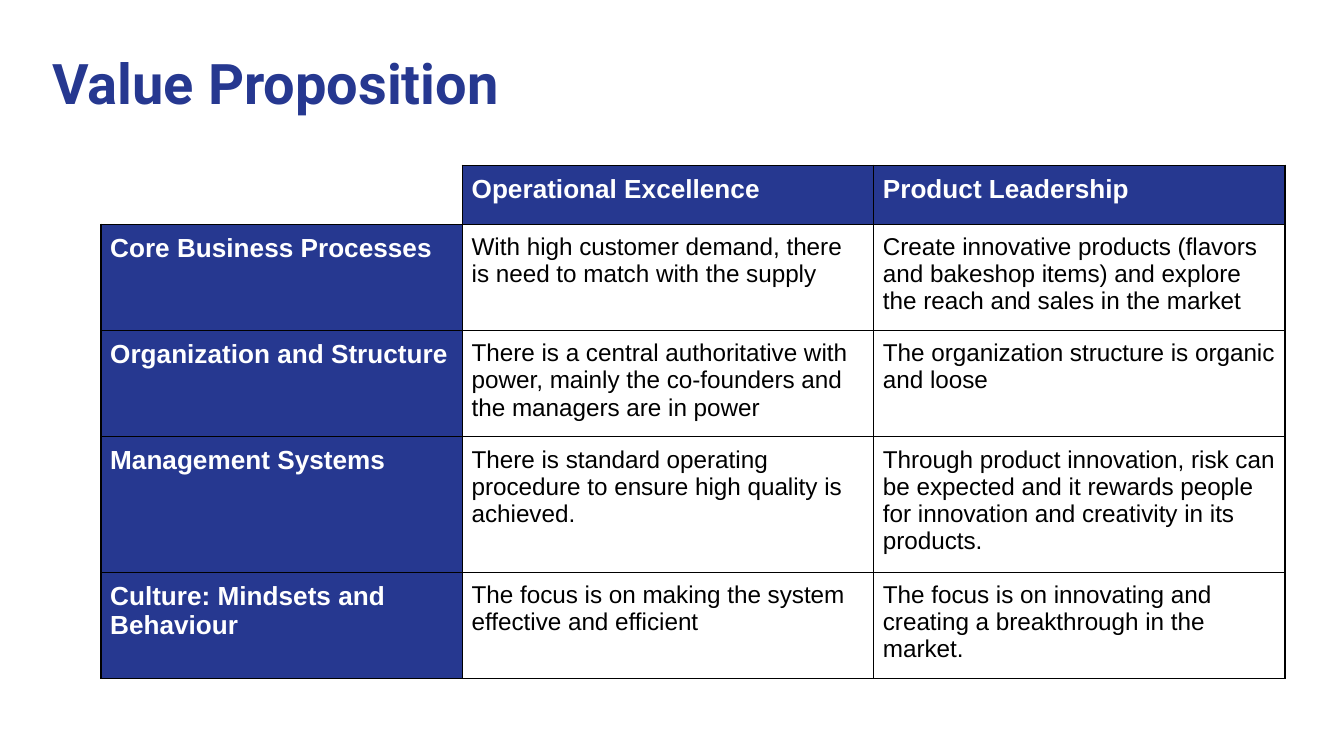
from lxml.etree import SubElement
from pptx import Presentation
from pptx.dml.color import RGBColor
from pptx.enum.text import MSO_ANCHOR, PP_ALIGN
from pptx.oxml.ns import qn
from pptx.util import Inches, Pt

BLUE = RGBColor(0x26, 0x38, 0x90)
WHITE = RGBColor(0xFF, 0xFF, 0xFF)
BLACK = RGBColor(0x00, 0x00, 0x00)

COLUMN_WIDTHS = [2.69, 3.06, 3.06]
ROW_HEIGHTS = [0.44, 0.79, 0.79, 1.01, 0.79]
ROWS = [
    ["", "Operational Excellence", "Product Leadership"],
    ["Core Business Processes",
     "With high customer demand, there is need to match with the supply",
     "Create innovative products (flavors and bakeshop items) and explore "
     "the reach and sales in the market"],
    ["Organization and Structure",
     "There is a central authoritative with power, mainly the co-founders "
     "and the managers are in power",
     "The organization structure is organic and loose"],
    ["Management Systems",
     "There is standard operating procedure to ensure high quality is achieved.",
     "Through product innovation, risk can be expected and it rewards people "
     "for innovation and creativity in its products."],
    ["Culture: Mindsets and Behaviour",
     "The focus is on making the system effective and efficient",
     "The focus is on innovating and creating a breakthrough in the market."],
]


def write_text(text_frame, text, *, size, color, font="Arial", bold=False):
    paragraph = text_frame.paragraphs[0]
    paragraph.alignment = PP_ALIGN.LEFT
    run = paragraph.add_run()
    run.text = text
    run.font.name = font
    run.font.size = Pt(size)
    run.font.bold = bold
    run.font.color.rgb = color


def set_insets(container, inset):
    container.margin_left = container.margin_right = Inches(inset)
    container.margin_top = container.margin_bottom = Inches(inset)


def set_borders(cell, **colors):
    """Draw 1 pt borders; the sides must come in the order L, R, T, B."""
    properties = cell._tc.get_or_add_tcPr()
    for side, color in colors.items():
        line = SubElement(properties, qn(f"a:ln{side}"), w=str(Pt(1)))
        fill = SubElement(line, qn("a:solidFill"))
        SubElement(fill, qn("a:srgbClr"), val=str(color))


def add_title(slide, text):
    title = slide.shapes.title
    title.left, title.top = Inches(0.29), Inches(0.26)
    title.width, title.height = Inches(5.62), Inches(0.71)
    text_frame = title.text_frame
    text_frame.word_wrap = True
    text_frame.vertical_anchor = MSO_ANCHOR.TOP
    set_insets(text_frame, 0.1)
    write_text(text_frame, text, size=30, color=BLUE, font="Roboto", bold=True)


def format_cell(cell, text, is_header):
    # Only the empty corner hides its outer edges
    outer = BLACK if text else WHITE
    set_borders(cell, L=outer, R=BLACK, T=outer, B=BLACK)
    if text and is_header:
        cell.fill.solid()
        cell.fill.fore_color.rgb = BLUE
    else:
        cell.fill.background()
    if text:
        set_insets(cell, 0.07)
        write_text(cell.text_frame, text, size=14 if is_header else 13,
                   color=WHITE if is_header else BLACK, bold=is_header)


def add_comparison_table(slide):
    frame = slide.shapes.add_table(
        len(ROWS), len(COLUMN_WIDTHS), Inches(0.75), Inches(1.23),
        Inches(sum(COLUMN_WIDTHS)), Inches(sum(ROW_HEIGHTS)))
    table = frame.table
    table.first_row = table.horz_banding = False
    for column, width in zip(table.columns, COLUMN_WIDTHS):
        column.width = Inches(width)
    for row, height in zip(table.rows, ROW_HEIGHTS):
        row.height = Inches(height)
    for row_index, texts in enumerate(ROWS):
        for column_index, text in enumerate(texts):
            format_cell(table.cell(row_index, column_index), text,
                        is_header=row_index == 0 or column_index == 0)


def main():
    presentation = Presentation()
    # Widescreen page, 16:9
    presentation.slide_width = Inches(10)
    presentation.slide_height = Inches(10 * 9 / 16)
    slide = presentation.slides.add_slide(presentation.slide_layouts[5])
    add_title(slide, "Value Proposition")
    add_comparison_table(slide)
    presentation.save("out.pptx")


if __name__ == "__main__":
    main()
